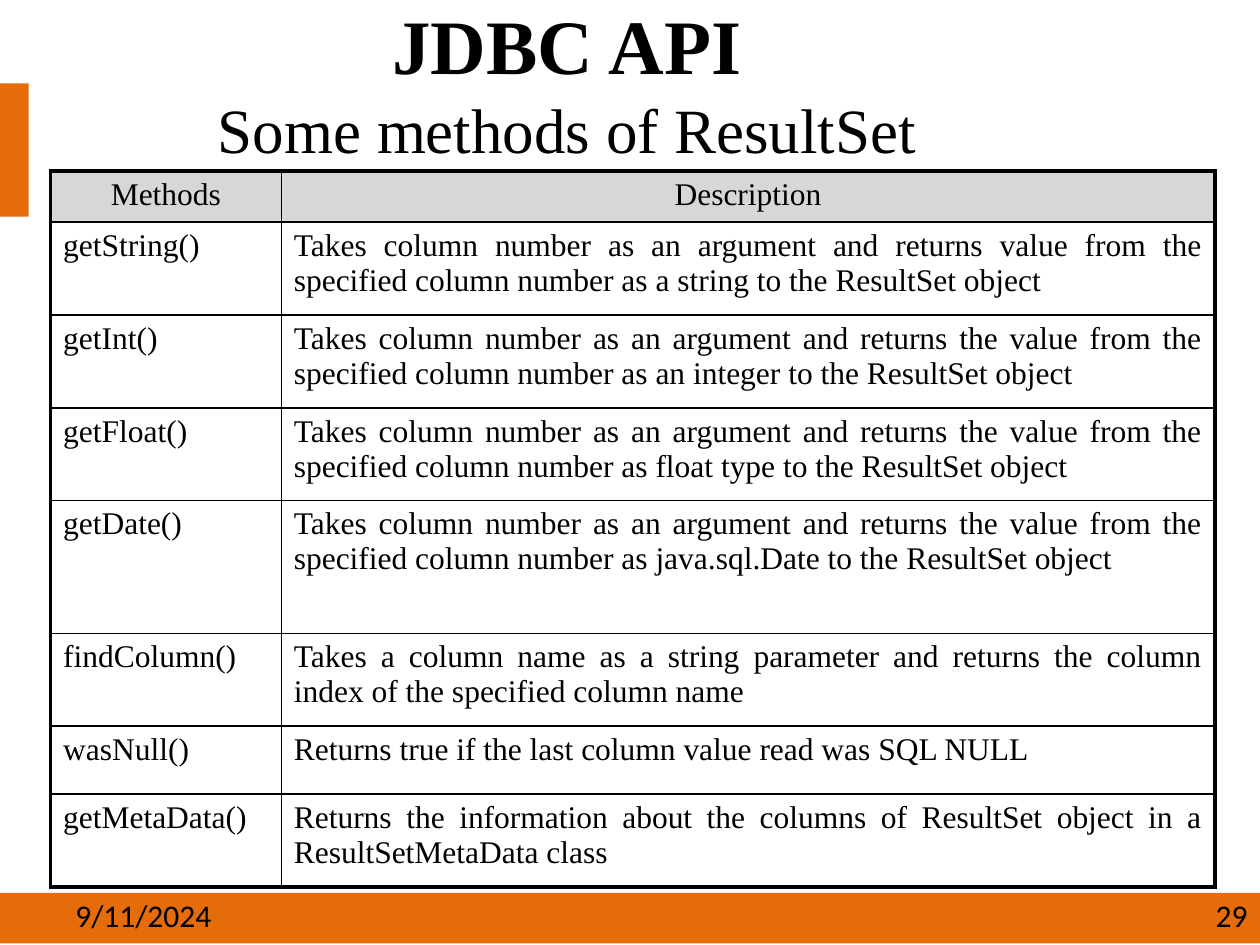
"""Builds the slide on the methods of ResultSet."""
from dataclasses import dataclass

from lxml.etree import SubElement
from pptx import Presentation
from pptx.dml.color import RGBColor
from pptx.enum.shapes import MSO_SHAPE as Shape
from pptx.enum.text import MSO_ANCHOR as Anchor, PP_ALIGN as Align
from pptx.oxml.ns import qn
from pptx.util import Cm, Pt


@dataclass(frozen=True)
class Theme:
    """Colours, fonts, type sizes and line widths of the deck."""
    ink: str = "000000"
    accent: str = "E46C0A"
    header: str = "D7D7D7"
    serif: str = "Times New Roman"
    sans: str = "Calibri"
    title: int = 44
    subtitle: int = 36
    text: int = 18
    frame: float = 2.25
    rule: float = 1


THEME = Theme()
COLUMN_WIDTHS = (4.65, 18.82)
ROW_HEIGHTS = (1.03, 1.87, 1.87, 1.87, 2.68, 1.87, 1.37, 1.87)
TAKES = "Takes column number as an argument and returns"
FROM = "value from the specified column number as"
ROWS = (
    ("Methods", "Description"),
    ("getString()", f"{TAKES} {FROM} a string to the ResultSet object"),
    ("getInt()", f"{TAKES} the {FROM} an integer to the ResultSet object"),
    ("getFloat()", f"{TAKES} the {FROM} float type to the ResultSet object"),
    ("getDate()", f"{TAKES} the {FROM} java.sql.Date to the ResultSet object"),
    ("findColumn()", "Takes a column name as a string parameter and returns "
                     "the column index of the specified column name"),
    ("wasNull()", "Returns true if the last column value read was SQL NULL"),
    ("getMetaData()", "Returns the information about the columns of ResultSet "
                      "object in a ResultSetMetaData class"),
)


def style_font(font, name, size, bold=False):
    """Give a font its typeface, size, weight and ink colour."""
    values = {"name": name, "size": Pt(size), "bold": bold}
    for key, value in values.items():
        setattr(font, key, value)
    font.color.rgb = RGBColor.from_string(THEME.ink)


def place(shape, left, top, width, height):
    """Move and size a shape, in centimetres."""
    values = {"left": left, "top": top, "width": width, "height": height}
    for key, value in values.items():
        setattr(shape, key, Cm(value))


def add_bar(page, *bounds):
    """Add a plain accent rectangle."""
    bar = page.shapes.add_shape(Shape.RECTANGLE, *map(Cm, bounds))
    bar.shadow.inherit = False
    bar.fill.solid()
    bar.fill.fore_color.rgb = RGBColor.from_string(THEME.accent)
    bar.line.fill.background()


def fill_title(page, heading, subheading):
    """Write the two-line title into the title placeholder."""
    title = page.shapes.title
    place(title, 0, 0, 22.86, 3.3)
    title.text_frame.vertical_anchor = Anchor.MIDDLE
    para = title.text_frame.paragraphs[0]
    para.alignment = Align.CENTER
    span = para.add_run()
    span.text = heading
    style_font(span.font, THEME.serif, THEME.title, bold=True)
    para.add_line_break()
    span = para.add_run()
    span.text = subheading
    style_font(span.font, THEME.serif, THEME.subtitle)


def add_footer(page, text, left, alignment):
    """Add a text box on the bottom bar."""
    box = page.shapes.add_textbox(Cm(left), Cm(17.93), Cm(5.93), Cm(1.02))
    box.text_frame.word_wrap = True
    para = box.text_frame.paragraphs[0]
    para.alignment = alignment
    span = para.add_run()
    span.text = text
    style_font(span.font, THEME.sans, THEME.text)


def set_borders(cell, widths):
    """Draw the left, right, top and bottom borders of a cell."""
    properties = cell._tc.get_or_add_tcPr()
    for side, width in zip("LRTB", widths):
        line = SubElement(properties, qn(f"a:ln{side}"), w=str(Pt(width)))
        fill = SubElement(line, qn("a:solidFill"))
        SubElement(fill, qn("a:srgbClr"), val=THEME.ink)


def fill_cell(cell, text, alignment, is_header):
    """Write and format the text and fill of a cell."""
    if is_header:
        cell.fill.solid()
        cell.fill.fore_color.rgb = RGBColor.from_string(THEME.header)
    else:
        cell.fill.background()
    para = cell.text_frame.paragraphs[0]
    para.alignment = alignment
    span = para.add_run()
    span.text = text
    style_font(span.font, THEME.serif, THEME.text)


def add_methods_table(page):
    """Add the framed table of methods and descriptions."""
    last_row, last_column = len(ROWS) - 1, len(COLUMN_WIDTHS) - 1
    frame = page.shapes.add_table(
        len(ROWS), len(COLUMN_WIDTHS), Cm(1.02), Cm(3.45),
        Cm(sum(COLUMN_WIDTHS)), Cm(sum(ROW_HEIGHTS)))
    table = frame.table
    table.first_row = table.horz_banding = False
    for column, width in zip(table.columns, COLUMN_WIDTHS):
        column.width = Cm(width)
    for r, (row, height) in enumerate(zip(table.rows, ROW_HEIGHTS)):
        row.height = Cm(height)
        for c, cell in enumerate(row.cells):
            outer = (c == 0, c == last_column, r == 0, r == last_row)
            set_borders(cell, [THEME.frame if edge else THEME.rule for edge in outer])
            body_alignment = (Align.LEFT, Align.JUSTIFY)[c]
            fill_cell(cell, ROWS[r][c], Align.CENTER if r == 0 else body_alignment, r == 0)


def main():
    """Build the slide and save the deck."""
    deck = Presentation()
    deck.slide_width, deck.slide_height = Cm(25.4), Cm(19.05)
    page = deck.slides.add_slide(deck.slide_layouts[5])
    add_bar(page, 0, 1.68, 0.58, 2.69)
    add_bar(page, 0, 18, 25.4, 1.02)
    fill_title(page, "JDBC API", "Some methods of ResultSet")
    add_methods_table(page)
    add_footer(page, "9/11/2024", 1.27, Align.LEFT)
    add_footer(page, "29", 19.47, Align.RIGHT)
    deck.save("out.pptx")


if __name__ == "__main__":
    main()
